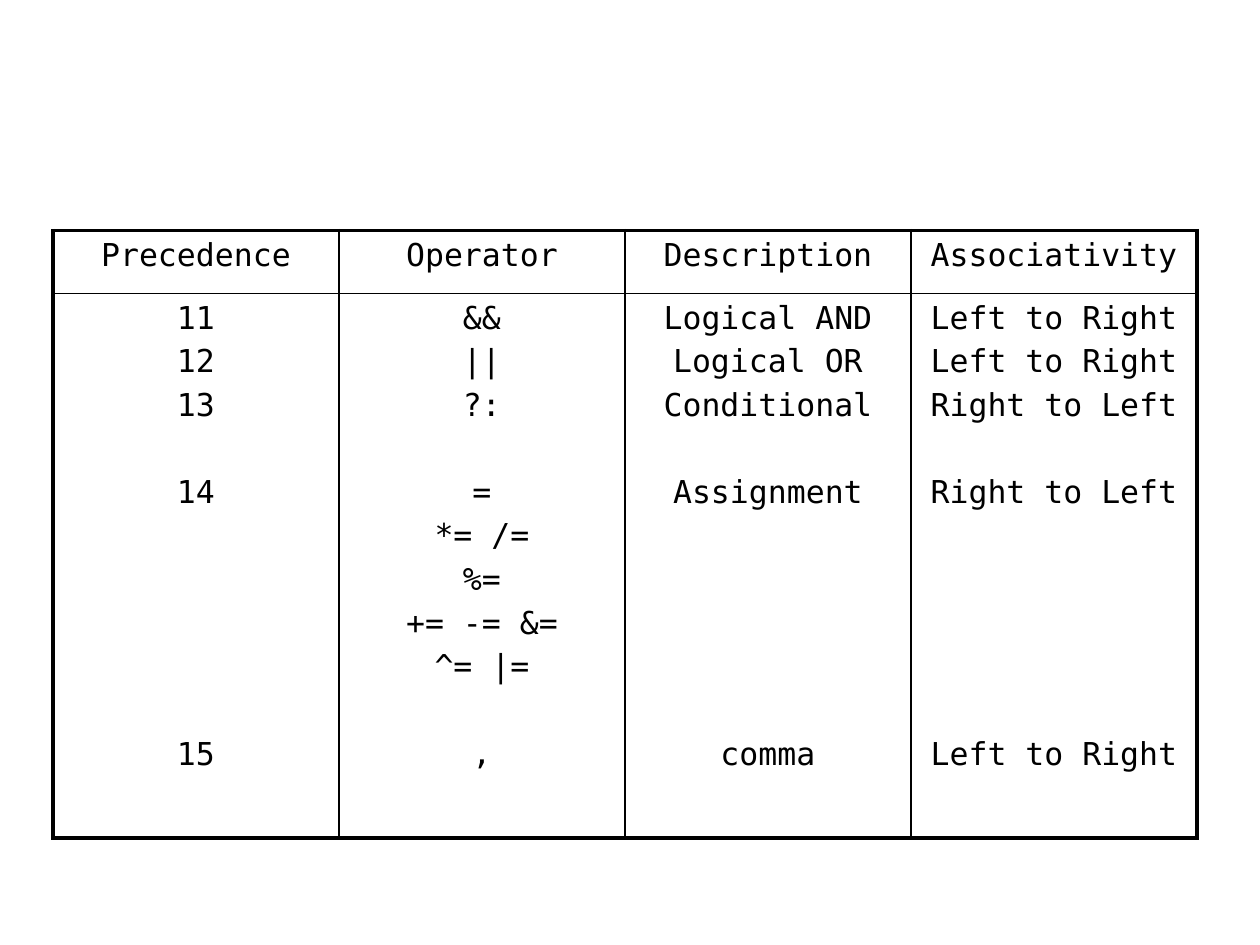
import pptx
import pptx.util
import pptx.dml.color
import pptx.enum.text
import pptx.oxml.ns
import lxml.etree

Inches, Pt = pptx.util.Inches, pptx.util.Pt

# Content: precedence, operators by line, description, associativity, first line
HEADINGS = ["Precedence", "Operator", "Description", "Associativity"]
LEVELS = [
    ("11", ["&&"], "Logical AND", "Left to Right", 0),
    ("12", ["||"], "Logical OR", "Left to Right", 1),
    ("13", ["?:"], "Conditional", "Right to Left", 2),
    ("14", ["=", "*= /=", "%=", "+= -= &=", "^= |="],
     "Assignment", "Right to Left", 4),
    ("15", [","], "comma", "Left to Right", 10),
]

COLORS = {"ink": "000000"}
FONT, SIZE = "DejaVu Sans Mono", 18
SPACE_BEFORE, LINE_PITCH = 4, 24.95
LEFT, TOP, WIDTH = 0.42, 1.83, 9.08
ROW_HEIGHTS = [0.5, 4.32]
THICK, THIN = 2.25, 1


def fill_cell(cell, lines):
    """Write (line number, text) pairs, turning skipped lines into spacing."""
    cell.fill.background()
    cell.vertical_anchor = pptx.enum.text.MSO_ANCHOR.TOP
    previous = -1
    for index, (line, text) in enumerate(lines):
        frame = cell.text_frame
        paragraph = frame.add_paragraph() if index else frame.paragraphs[0]
        paragraph.text = text
        paragraph.alignment = pptx.enum.text.PP_ALIGN.CENTER
        skipped = line - previous - 1
        paragraph.space_before = Pt(SPACE_BEFORE + skipped * LINE_PITCH)
        previous = line
        font = paragraph.runs[0].font
        font.name, font.size = FONT, Pt(SIZE)
        font.color.rgb = pptx.dml.color.RGBColor.from_string(COLORS["ink"])


def set_borders(cell, widths):
    """Draw the left, right, top and bottom borders."""
    qn = pptx.oxml.ns.qn
    properties = cell._tc.get_or_add_tcPr()
    for index, (side, width) in enumerate(zip("LRTB", widths)):
        line = lxml.etree.Element(qn("a:ln" + side), w=str(int(Pt(width))))
        fill = lxml.etree.SubElement(line, qn("a:solidFill"))
        lxml.etree.SubElement(fill, qn("a:srgbClr"), val=COLORS["ink"])
        properties.insert(index, line)


presentation = pptx.Presentation()
presentation.slide_width, presentation.slide_height = Inches(10), Inches(7.5)
slide = presentation.slides.add_slide(presentation.slide_layouts[6])

# Table grid
row_count, column_count = len(ROW_HEIGHTS), len(HEADINGS)
table = slide.shapes.add_table(
    row_count, column_count, Inches(LEFT), Inches(TOP),
    Inches(WIDTH), Inches(sum(ROW_HEIGHTS))).table
table.first_row = table.horz_banding = False
for row, height in zip(table.rows, ROW_HEIGHTS):
    row.height = Inches(height)

# Cell text: headings above, one column of levels below each
columns = [
    [(start, precedence) for precedence, _, _, _, start in LEVELS],
    [(start + offset, operator) for _, operators, _, _, start in LEVELS
     for offset, operator in enumerate(operators)],
    [(start, description) for _, _, description, _, start in LEVELS],
    [(start, direction) for _, _, _, direction, start in LEVELS],
]
for column, (heading, lines) in enumerate(zip(HEADINGS, columns)):
    fill_cell(table.cell(0, column), [(0, heading)])
    fill_cell(table.cell(1, column), lines)

# Thick outer frame, thin inner rules
for row in range(row_count):
    for column in range(column_count):
        on_frame = [column == 0, column == column_count - 1,
                    row == 0, row == row_count - 1]
        set_borders(table.cell(row, column),
                    [THICK if outer else THIN for outer in on_frame])

presentation.save("out.pptx")
